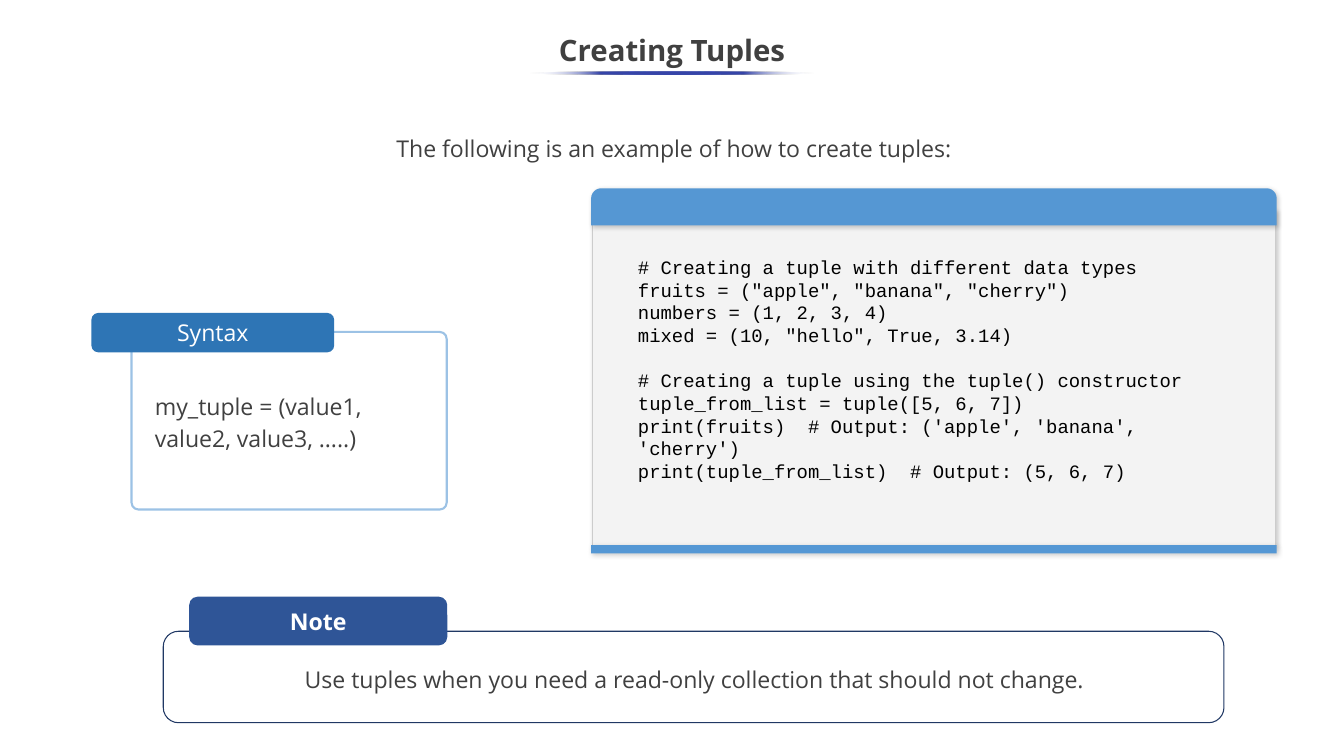
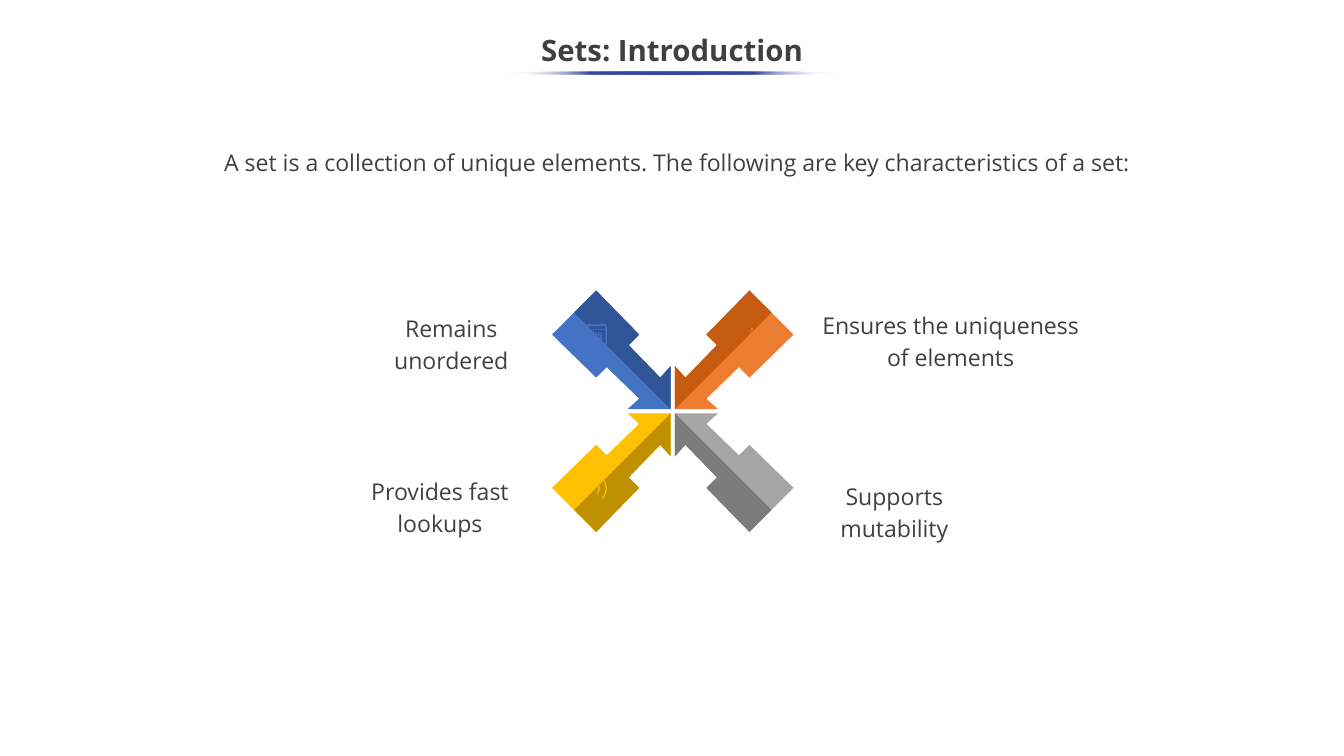
"""Build two lesson slides: creating tuples and an introduction to sets."""
from lxml.etree import SubElement
from pptx import Presentation
from pptx.dml.color import RGBColor
from pptx.enum.shapes import MSO_SHAPE
from pptx.enum.text import MSO_ANCHOR, PP_ALIGN
from pptx.oxml import parse_xml
from pptx.oxml.ns import qn
from pptx.util import Pt

INK, WHITE, ACCENT = "404040", "FFFFFF", "3645A9"
SANS, MONO = "Open Sans", "Courier New"
WIDTH, HEIGHT = 1280, 720
MONO_LINE = 21.6
NAMESPACE = "http://schemas.openxmlformats.org/drawingml/2006/main"

TUPLES = {
    "title": "Creating Tuples",
    "rule_width": 271.5,
    "intro": "The following is an example of how to create tuples:",
    "syntax": "my_tuple = (value1, value2, value3, …..)",
    "note": "Use tuples when you need a read-only collection that should not change.",
}
CODE_BLOCKS = [
    ["# Creating a tuple with different data types",
     'fruits = ("apple", "banana", "cherry")',
     "numbers = (1, 2, 3, 4)",
     'mixed = (10, "hello", True, 3.14)'],
    ["# Creating a tuple using the tuple() constructor",
     "tuple_from_list = tuple([5, 6, 7])",
     "print(fruits)  # Output: ('apple', 'banana', 'cherry')",
     "print(tuple_from_list)  # Output: (5, 6, 7)"],
]
SETS = {
    "title": "Sets: Introduction",
    "rule_width": 311.8,
    "intro": "A set is a collection of unique elements. "
             "The following are key characteristics of a set:",
}
TRAITS = [
    ("Supports mutability", (784.8, 455.8, 133.9, 51.8), (1, 1), "A5A5A5", "7C7C7C"),
    ("Provides fast lookups", (317.5, 450.7, 203, 51.8), (-1, 1), "FFC000", "BF9000"),
    ("Ensures the uniqueness of elements", (771.8, 292.3, 267.1, 51.8), (1, -1),
     "ED7D31", "C55A11"),
    ("Remains unordered", (328.3, 295.2, 203, 51.8), (-1, -1), "4472C4", "2F5597"),
]
HUB = (640.8, 391.7)
ARROW_HALF = [(2, 2), (43, 2), (32, 12), (63, 42), (73, 32), (115, 73), (94, 94)]
CALENDAR_RIM = [
    (557, 309), (561, 309), (561, 307.4), (562.2, 307.4), (562.2, 309), (572.4, 309),
    (572.4, 307.4), (573.6, 307.4), (573.6, 309), (577, 309), (578.2, 310.5),
    (578.2, 328), (577, 329.2), (557, 329.2), (555.8, 328), (555.8, 310.5)]
WAVES = [(573.1, 9.7, 3.6), (568.1, 5.3, 1.8)]
SPARKS = [(715, 312.5, 2.2), (714.2, 315.4, 1.4), (715, 319.7, 1)]


def color(hex_code):
    """Turn a hex string into a colour."""
    return RGBColor.from_string(hex_code)


def paint(shape, fill=None, line=None, weight=1):
    """Set the fill and line of a shape and drop its theme shadow."""
    shape.shadow.inherit = False
    if fill:
        shape.fill.solid()
        shape.fill.fore_color.rgb = color(fill)
    else:
        shape.fill.background()
    if line:
        shape.line.color.rgb = color(line)
        shape.line.width = Pt(weight)
    else:
        shape.line.fill.background()
    return shape


def add_preset(slide, kind, box, fill=None, line=None, weight=1, corners=()):
    """Add a preset shape with its box in points."""
    shape = slide.shapes.add_shape(kind, *map(Pt, box))
    for index, corner in enumerate(corners):
        shape.adjustments[index] = corner
    return paint(shape, fill, line, weight)


def add_outline(slide, contours, fill):
    """Add one filled freeform made of closed contours in points."""
    scaled = [[(Pt(x), Pt(y)) for x, y in contour] for contour in contours]
    builder = slide.shapes.build_freeform(*scaled[0][0], scale=1.0)
    builder.add_line_segments(scaled[0][1:], close=True)
    for contour in scaled[1:]:
        builder.move_to(*contour[0])
        builder.add_line_segments(contour[1:], close=True)
    return paint(builder.convert_to_shape(), fill)


def write(shape, blocks, size=22, font=SANS, ink=INK, bold=False, spacing=1.15,
          align=PP_ALIGN.CENTER, anchor=MSO_ANCHOR.TOP, inset=0, gap=0):
    """Fill a shape with blocks of lines, one paragraph a line."""
    frame = shape.text_frame
    frame.word_wrap = True
    frame.vertical_anchor = anchor
    frame.margin_left = frame.margin_right = Pt(7.2)
    frame.margin_top = frame.margin_bottom = Pt(inset)
    for block_index, block in enumerate(blocks):
        for line_index, text in enumerate(block):
            first = block_index == line_index == 0
            paragraph = frame.paragraphs[0] if first else frame.add_paragraph()
            paragraph.alignment = align
            paragraph.line_spacing = spacing
            if block_index and not line_index:
                paragraph.space_before = Pt(gap)
            run = paragraph.add_run()
            run.text = text
            run.font.size = Pt(size)
            run.font.name = font
            run.font.bold = bold
            run.font.color.rgb = color(ink)


def add_text(slide, box, text, **style):
    """Add a text box holding one paragraph."""
    write(slide.shapes.add_textbox(*map(Pt, box)), [[text]], **style)


def fade_ends(shape):
    """Give a shape an accent gradient that fades out at both ends."""
    stops = [(0, WHITE, 0), (25, ACCENT, 100), (75, ACCENT, 100), (100, WHITE, 0)]
    marks = "".join(
        f'<a:gs pos="{place * 1000}"><a:srgbClr val="{tint}">'
        f'<a:alpha val="{alpha * 1000}"/></a:srgbClr></a:gs>'
        for place, tint, alpha in stops)
    gradient = parse_xml(f'<a:gradFill xmlns:a="{NAMESPACE}" rotWithShape="1">'
                         f'<a:gsLst>{marks}</a:gsLst><a:lin ang="0" scaled="0"/></a:gradFill>')
    properties = shape.element.spPr
    properties.replace(properties.find(qn("a:solidFill")), gradient)


def cast_shadow(shape):
    """Add a soft outer shadow."""
    effects = shape.element.spPr.find(qn("a:effectLst"))
    shadow = SubElement(effects, qn("a:outerShdw"), blurRad=str(Pt(4.5)),
                        dist=str(Pt(1.5)), dir=str(47 * 60000), rotWithShape="0")
    tint = SubElement(shadow, qn("a:srgbClr"), val="000000")
    SubElement(tint, qn("a:alpha"), val="20000")


def start_slide(deck, content):
    """Add a slide with the shared title and its underline."""
    slide = deck.slides.add_slide(deck.slide_layouts[5])
    title = slide.shapes.title
    title.left, title.top, title.width, title.height = map(Pt, (0, 18, WIDTH, 54))
    write(title, [[content["title"]]], size=28, bold=True,
          anchor=MSO_ANCHOR.MIDDLE, inset=3.6)
    rule_width = content["rule_width"]
    rule_left = (WIDTH - rule_width) / 2
    fade_ends(add_preset(slide, MSO_SHAPE.OVAL, (rule_left, 68.2, rule_width, 3.2), ACCENT))
    return slide


def add_code_panel(slide):
    """Draw the code window and its listing."""
    left, width = 563, 653
    parts = [
        (MSO_SHAPE.RECTANGLE, (left + 1.4, 200.2, width - 2.8, 319), "F3F3F3", "CCCCCC", ()),
        (MSO_SHAPE.RECTANGLE, (left, 519.1, width, 7.9), "5497D4", None, ()),
        (MSO_SHAPE.ROUND_2_SAME_RECTANGLE, (left, 179.3, width, 35.3), "5597D3", None,
         (0.275, 0)),
    ]
    for kind, box, fill, line, corners in parts:
        cast_shadow(add_preset(slide, kind, box, fill, line, 0.75, corners))
    listing = slide.shapes.add_textbox(*map(Pt, (600.5, 236.2, 577.4, 259.2)))
    write(listing, CODE_BLOCKS, size=18, font=MONO, ink="000000", spacing=1.0,
          align=PP_ALIGN.LEFT, inset=7.2, gap=MONO_LINE)


def build_tuples(deck):
    """Build the slide on creating tuples."""
    slide = start_slide(deck, TUPLES)
    add_text(slide, (151.2, 123.8, 981.4, 71.3), TUPLES["intro"])
    rounded = MSO_SHAPE.ROUNDED_RECTANGLE
    add_preset(slide, rounded, (125.3, 316.1, 300.2, 169.2), None, "9CC2E5", 2, (0.04,))
    syntax_tab = add_preset(slide, rounded, (87.1, 298.1, 231.1, 37.4), "2E75B5")
    write(syntax_tab, [["Syntax"]], ink=WHITE, spacing=1.0,
          anchor=MSO_ANCHOR.MIDDLE, inset=3.6)
    add_text(slide, (140.4, 366.5, 270, 68.4), TUPLES["syntax"],
             align=PP_ALIGN.LEFT, inset=3.6)
    add_preset(slide, rounded, (155.5, 601.2, 1010.2, 87.1), None, "203864")
    note_tab = add_preset(slide, rounded, (180.7, 568.8, 244.8, 45.4), "2F5597", "2F5597")
    write(note_tab, [["Note"]], ink=WHITE, bold=True, spacing=1.0,
          anchor=MSO_ANCHOR.MIDDLE, inset=3.6)
    add_text(slide, (170.6, 630, 981.4, 45.4), TUPLES["note"])
    add_code_panel(slide)


def rectangle(left, top, width, height):
    """List the corners of a rectangle."""
    return [(left, top), (left + width, top),
            (left + width, top + height), (left, top + height)]


def crescent(left, half_height, bulge):
    """List the points of a thin curved stroke."""
    steps = [step / 8 for step in range(-8, 9)]
    curve = [(left + bulge * (1 - t * t), 465.1 + half_height * t) for t in steps]
    return curve + [(x + 1.2, y) for x, y in reversed(curve)]


def add_arrow(slide, direction, light, dark):
    """Draw a two-tone arrow that points at the hub."""
    mirrored = [(y, x) for x, y in ARROW_HALF]
    for half, fill in ((ARROW_HALF + mirrored[-2::-1], light), (mirrored, dark)):
        outline = [(HUB[0] + direction[0] * x, HUB[1] + direction[1] * y) for x, y in half]
        add_outline(slide, [outline], fill)


def add_icons(slide):
    """Draw the small calendar, waves and sparks on the arrows."""
    blue, orange, yellow = "4472C4", "ED7D31", "FFC000"
    add_outline(slide, [CALENDAR_RIM, rectangle(557.3, 310.4, 19.4, 2.8),
                        rectangle(557.3, 314, 19.4, 14.2)], blue)
    for row in range(2):
        for column in range(3):
            left, top = 560.2 + 4.7 * column, 316.8 + 4.3 * row
            add_outline(slide, [rectangle(left, top, 3.6, 3.6),
                                rectangle(left + 0.8, top + 0.8, 2, 2)], blue)
    for wave in WAVES:
        add_outline(slide, [crescent(*wave)], yellow)
    for left, top, size in SPARKS:
        add_preset(slide, MSO_SHAPE.OVAL, (left, top, size, size), orange)


def build_sets(deck):
    """Build the slide that introduces sets."""
    slide = start_slide(deck, SETS)
    add_text(slide, (154.1, 116.6, 981.4, 71.3), SETS["intro"], anchor=MSO_ANCHOR.MIDDLE)
    for trait, box, direction, light, dark in TRAITS:
        add_arrow(slide, direction, light, dark)
        add_text(slide, box, trait)
    add_icons(slide)


def main():
    """Build and save the deck."""
    deck = Presentation()
    deck.slide_width, deck.slide_height = Pt(WIDTH), Pt(HEIGHT)
    build_tuples(deck)
    build_sets(deck)
    deck.save("out.pptx")


if __name__ == "__main__":
    main()
